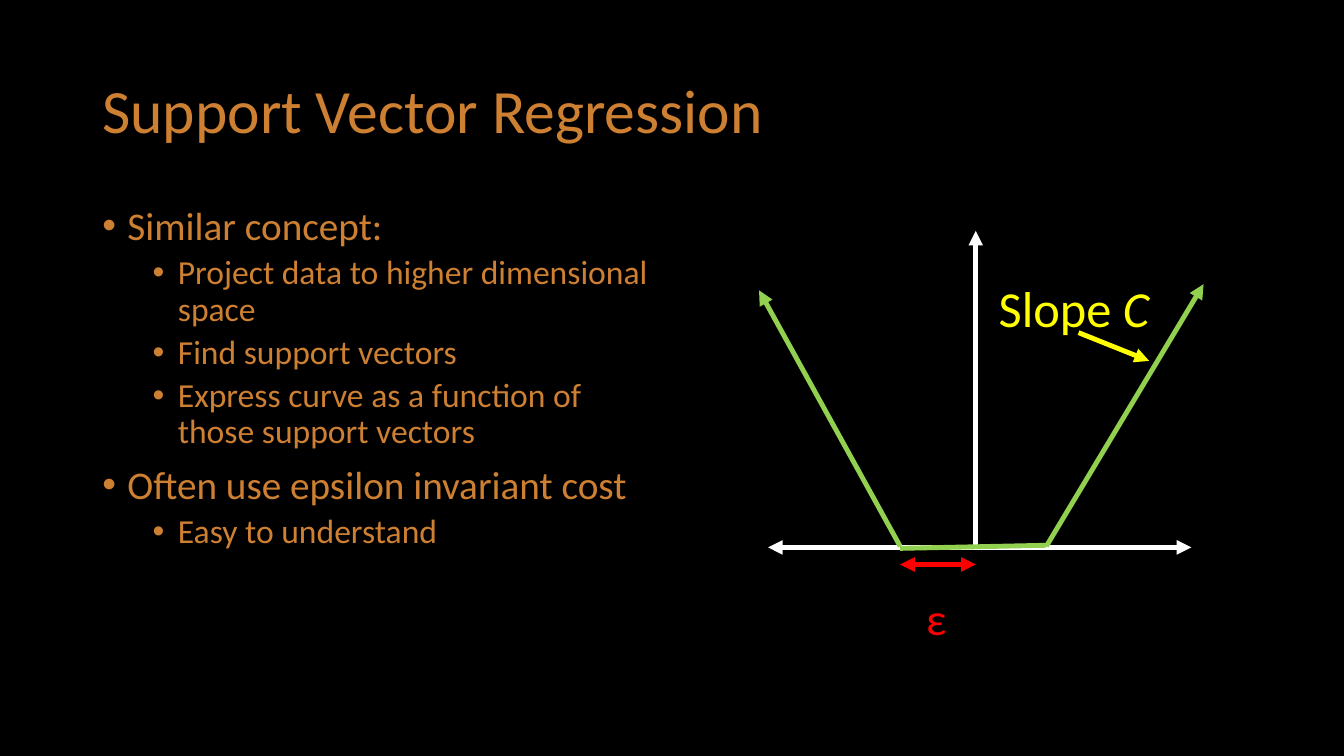
import pptx
import pptx.dml.color
import pptx.enum.shapes
import pptx.enum.text
import pptx.oxml.ns
import pptx.util
from dataclasses import dataclass
from lxml import etree

Pt = pptx.util.Pt
qn = pptx.oxml.ns.qn


@dataclass(frozen=True)
class Theme:
    font: str = "Calibri"
    background: str = "000000"
    bronze: str = "CD7F32"
    axis: str = "FFFFFF"
    margin: str = "FF0000"
    slope: str = "FFFF00"
    cost: str = "92D050"
    title_size: float = 44
    body_sizes: tuple = (28, 24)
    slope_size: float = 36
    epsilon_size: float = 32
    line_width: float = 3.5
    line_spacing: float = 0.9


def rgb(color):
    return pptx.dml.color.RGBColor.from_string(color)


class SlideBuilder:
    def __init__(self, slide, theme):
        self.slide = slide
        self.theme = theme
        fill = slide.background.fill
        fill.solid()
        fill.fore_color.rgb = rgb(theme.background)

    def format_span(self, span, size, color, italic=None):
        span.font.name = self.theme.font
        span.font.size = Pt(size)
        span.font.color.rgb = rgb(color)
        span.font.italic = italic

    def text(self, left, top, width, height, words, size, color):
        box = self.slide.shapes.add_textbox(Pt(left), Pt(top), Pt(width), Pt(height))
        box.text_frame.word_wrap = True
        box.text_frame.text = words
        for span in box.text_frame.paragraphs[0].runs:
            self.format_span(span, size, color)
        return box

    def title(self, left, top, width, height, words):
        box = self.text(left, top, width, height, words,
                        self.theme.title_size, self.theme.bronze)
        box.text_frame.vertical_anchor = pptx.enum.text.MSO_ANCHOR.MIDDLE
        box.text_frame.paragraphs[0].line_spacing = self.theme.line_spacing

    def bullets(self, left, top, width, height, items):
        box = self.slide.shapes.add_textbox(Pt(left), Pt(top), Pt(width), Pt(height))
        frame = box.text_frame
        frame.word_wrap = True
        for index, (level, words) in enumerate(items):
            para = frame.add_paragraph() if index else frame.paragraphs[0]
            para.text = words
            para.level = level
            para.line_spacing = self.theme.line_spacing
            if index:
                para.space_before = Pt(5 if level else 10)
            properties = para._p.get_or_add_pPr()
            properties.set("marL", str(Pt(18 + 36 * level)))
            properties.set("indent", str(Pt(-18)))
            etree.SubElement(properties, qn("a:buFont"), typeface="Arial")
            etree.SubElement(properties, qn("a:buChar"), char="•")
            self.format_span(para.runs[0], self.theme.body_sizes[level], self.theme.bronze)

    def filled_label(self, left, top, width, height, words, size, color):
        shape = self.slide.shapes.add_shape(
            pptx.enum.shapes.MSO_SHAPE.RECTANGLE, Pt(left), Pt(top), Pt(width), Pt(height))
        shape.shadow.inherit = False
        shape.fill.solid()
        shape.fill.fore_color.rgb = rgb(self.theme.background)
        shape.line.fill.background()
        frame = shape.text_frame
        frame.word_wrap = False
        frame.vertical_anchor = pptx.enum.text.MSO_ANCHOR.TOP
        frame.text = words
        para = frame.paragraphs[0]
        para.alignment = pptx.enum.text.PP_ALIGN.LEFT
        self.format_span(para.runs[0], size, color)

    def line(self, start, end, color, arrows=()):
        connector = self.slide.shapes.add_connector(
            pptx.enum.shapes.MSO_CONNECTOR.STRAIGHT,
            Pt(start[0]), Pt(start[1]), Pt(end[0]), Pt(end[1]))
        connector.line.color.rgb = rgb(color)
        connector.line.width = Pt(self.theme.line_width)
        outline = connector.line._get_or_add_ln()
        for arrow in arrows:
            etree.SubElement(outline, qn(f"a:{arrow}"), type="triangle")
        etree.SubElement(connector._element.spPr, qn("a:effectLst"))


def main():
    deck = pptx.Presentation()
    deck.slide_width, deck.slide_height = Pt(960), Pt(540)
    theme = Theme()
    page = SlideBuilder(deck.slides.add_slide(deck.slide_layouts[6]), theme)
    end_arrow = ("tailEnd",)
    both_arrows = ("headEnd", "tailEnd")

    # Title and bullet list
    page.title(66, 28.8, 828, 104.4, "Support Vector Regression")
    page.bullets(66, 144, 408.25, 342.75, [
        (0, "Similar concept:"),
        (1, "Project data to higher dimensional space"),
        (1, "Find support vectors"),
        (1, "Express curve as a function of those support vectors"),
        (0, "Often use epsilon invariant cost"),
        (1, "Easy to understand"),
    ])

    # Axes
    center, left_knee, right_knee = 697, 643, 747.4
    page.line((548.6, 391), (851, 391), theme.axis, both_arrows)
    page.line((center, 389.5), (center, 164.9), theme.axis, end_arrow)

    # Epsilon margin
    page.line((left_knee, 403.2), (center, 403.2), theme.margin, both_arrows)
    page.filled_label(654.5, 418.3, 28.8, 46.1, "ε", theme.epsilon_size, theme.margin)

    # Slope label and pointer
    page.line((770.4, 237.6), (820.8, 257.8), theme.slope, end_arrow)
    label = page.text(706.3, 194.4, 164.9, 51.1, "Slope ", theme.slope_size, theme.slope)
    span = label.text_frame.paragraphs[0].add_run()
    span.text = "C"
    page.format_span(span, theme.slope_size, theme.slope, italic=True)

    # Cost function
    page.line((left_knee, 390.2), (542.2, 207.4), theme.cost, end_arrow)
    page.line((right_knee, 390.2), (859.7, 203), theme.cost, end_arrow)
    page.line((left_knee, 391.7), (right_knee, 389.5), theme.cost)

    deck.save("out.pptx")


if __name__ == "__main__":
    main()
